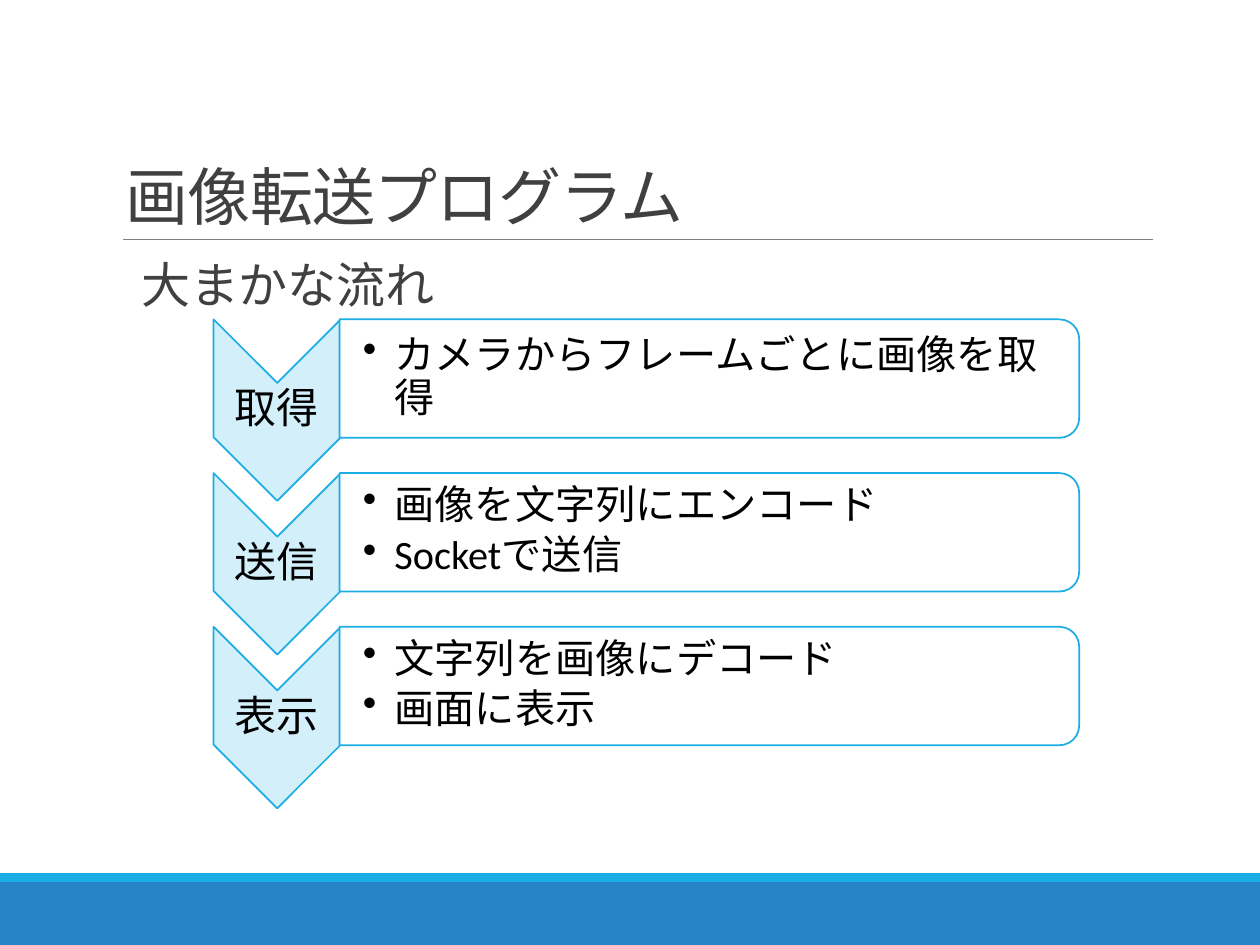
import pptx
import pptx.dml.color
import pptx.enum.shapes
import pptx.enum.text
import pptx.oxml.ns
import pptx.util
from lxml import etree

Inches, Pt = pptx.util.Inches, pptx.util.Pt
RGBColor = pptx.dml.color.RGBColor
SHAPE = pptx.enum.shapes.MSO_SHAPE
ANCHOR = pptx.enum.text.MSO_ANCHOR
ALIGN = pptx.enum.text.PP_ALIGN
qn = pptx.oxml.ns.qn

BLUE = RGBColor(0x26, 0x83, 0xC6)
CYAN = RGBColor(0x1C, 0xAD, 0xE4)
PALE = RGBColor(0xD2, 0xEF, 0xFA)
WHITE = RGBColor(0xFF, 0xFF, 0xFF)
GRAY = RGBColor(0x80, 0x80, 0x80)
DARK = RGBColor(0x40, 0x40, 0x40)
BLACK = RGBColor(0, 0, 0)

FONT = "Calibri"
STEP_TOP, STEP_PITCH = 2.53, 1.22
STEPS = [
    ("取得", ["カメラからフレームごとに画像を取得"]),
    ("送信", ["画像を文字列にエンコード", "Socketで送信"]),
    ("表示", ["文字列を画像にデコード", "画面に表示"]),
]


def add_shape(slide, kind, box, fill, line=None, rotation=0, opacity=None):
    shape = slide.shapes.add_shape(kind, *map(Inches, box))
    shape.shadow.inherit = False
    shape.rotation = rotation
    shape.fill.solid()
    shape.fill.fore_color.rgb = fill
    if opacity is not None:
        color = shape.fill._xPr.find(qn("a:solidFill"))[0]
        etree.SubElement(color, qn("a:alpha"), val=str(opacity * 1000))
    if line is None:
        shape.line.fill.background()
    else:
        shape.line.color.rgb = line
        shape.line.width = Pt(1)
    return shape


def add_text(slide, box, lines, size, color=BLACK, anchor=ANCHOR.MIDDLE,
             align=ALIGN.LEFT, insets=(0.02, 0.02, 0.02, 0.02), spacing=0.9,
             before=0, after=0, indent=(0, 0), bullet=None, tracking=None):
    frame = slide.shapes.add_textbox(*map(Inches, box)).text_frame
    frame.word_wrap = True
    frame.vertical_anchor = anchor
    (frame.margin_left, frame.margin_top,
     frame.margin_right, frame.margin_bottom) = map(Inches, insets)
    for number, line in enumerate(lines):
        paragraph = frame.add_paragraph() if number else frame.paragraphs[0]
        paragraph.alignment = align
        paragraph.line_spacing = spacing
        paragraph.space_before, paragraph.space_after = Pt(before), Pt(after)
        properties = paragraph._p.get_or_add_pPr()
        properties.set("marL", str(Inches(indent[0])))
        properties.set("indent", str(Inches(indent[1])))
        if bullet:
            etree.SubElement(properties, qn("a:buChar"), char=bullet)
        run = paragraph.add_run()
        run.text = line
        run.font.name, run.font.size = FONT, Pt(size)
        run.font.color.rgb = color
        if tracking is not None:
            run._r.get_or_add_rPr().set("spc", str(int(tracking * 100)))


def add_rule(slide, left, right, y):
    rule = slide.shapes.add_connector(
        pptx.enum.shapes.MSO_CONNECTOR.STRAIGHT,
        Inches(left), Inches(y), Inches(right), Inches(y))
    rule.line.color.rgb = GRAY
    rule.line.width = Pt(0.5)
    etree.SubElement(rule._element.spPr, qn("a:effectLst"))


def add_step(slide, top, label, details):
    # Chevron and panel are turned by 90 degrees about their centres
    add_shape(slide, SHAPE.CHEVRON, (1.48, top + 0.22, 1.44, 1.01),
              PALE, CYAN, rotation=90)
    add_text(slide, (1.69, top + 0.51, 1.01, 0.43), [label], 24,
             align=ALIGN.CENTER)
    add_shape(slide, SHAPE.ROUND_2_SAME_RECTANGLE,
              (5.16, top - 2.46, 0.94, 5.87), WHITE, CYAN,
              rotation=90, opacity=90)
    add_text(slide, (2.7, top + 0.05, 5.82, 0.84), details, 23,
             insets=(0.18, 0.02, 0.02, 0.02), after=4,
             indent=(0.25, -0.25), bullet="•")


def main():
    deck = pptx.Presentation()
    deck.slide_width, deck.slide_height = Inches(10), Inches(7.5)
    slide = deck.slides.add_slide(deck.slide_layouts[6])

    # Footer bands and title rule
    add_shape(slide, SHAPE.RECTANGLE, (0, 7, 10, 0.5), BLUE)
    add_shape(slide, SHAPE.RECTANGLE, (0, 6.93, 10, 0.07), CYAN)
    add_rule(slide, 0.98, 9.15, 1.9)

    # Title and subtitle
    add_text(slide, (0.9, 0.31, 8.25, 1.59), ["画像転送プログラム"], 36, DARK,
             anchor=ANCHOR.BOTTOM, insets=(0.1, 0.05, 0.1, 0.05),
             spacing=0.85, tracking=-0.5)
    add_text(slide, (0.9, 2.02, 8.25, 4.4), ["大まかな流れ"], 28, DARK,
             anchor=ANCHOR.TOP, insets=(0, 0.05, 0, 0.05),
             before=2, after=4, indent=(0.22, 0))

    # Process steps
    for row, (label, details) in enumerate(STEPS):
        add_step(slide, STEP_TOP + row * STEP_PITCH, label, details)

    deck.save("out.pptx")


if __name__ == "__main__":
    main()
